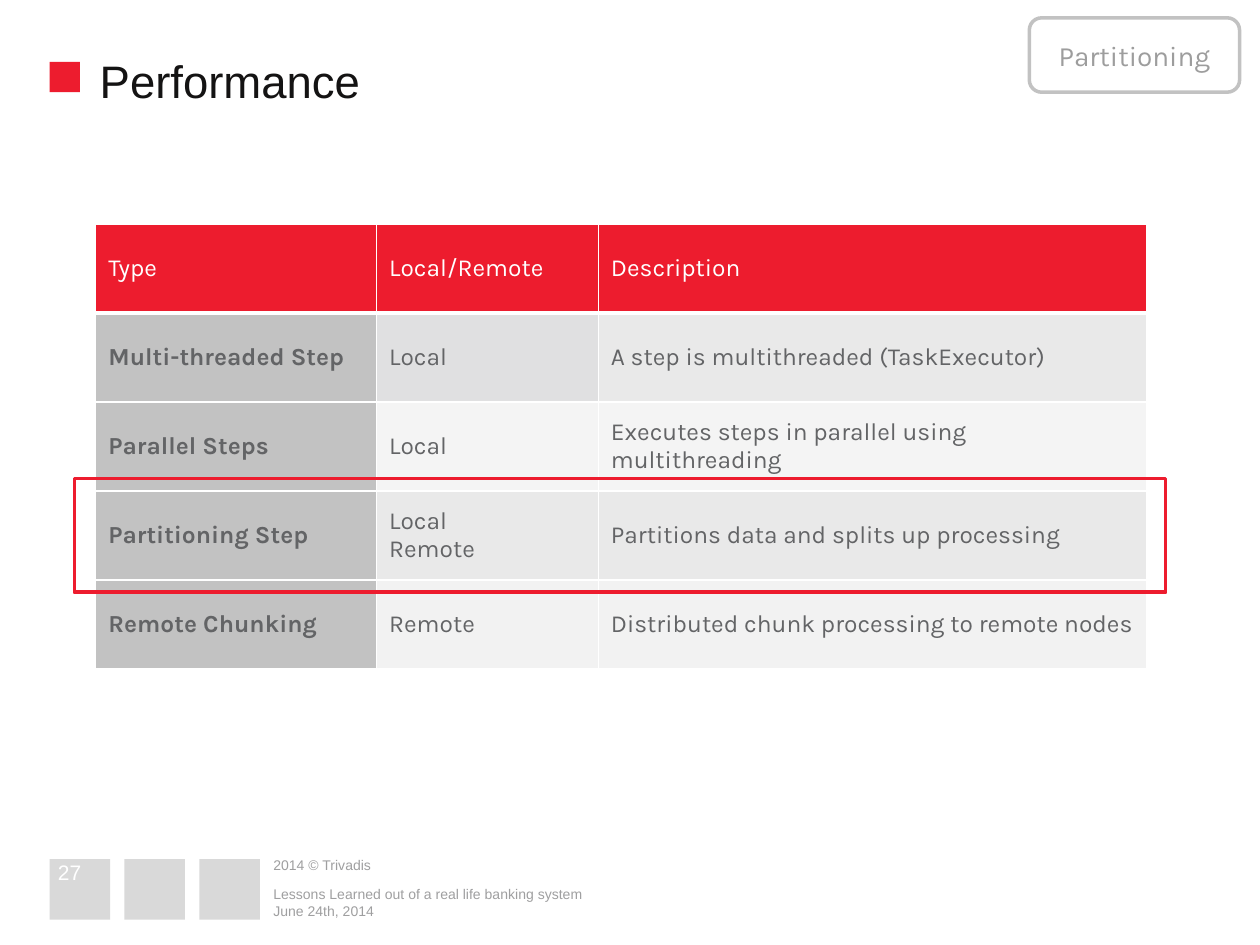
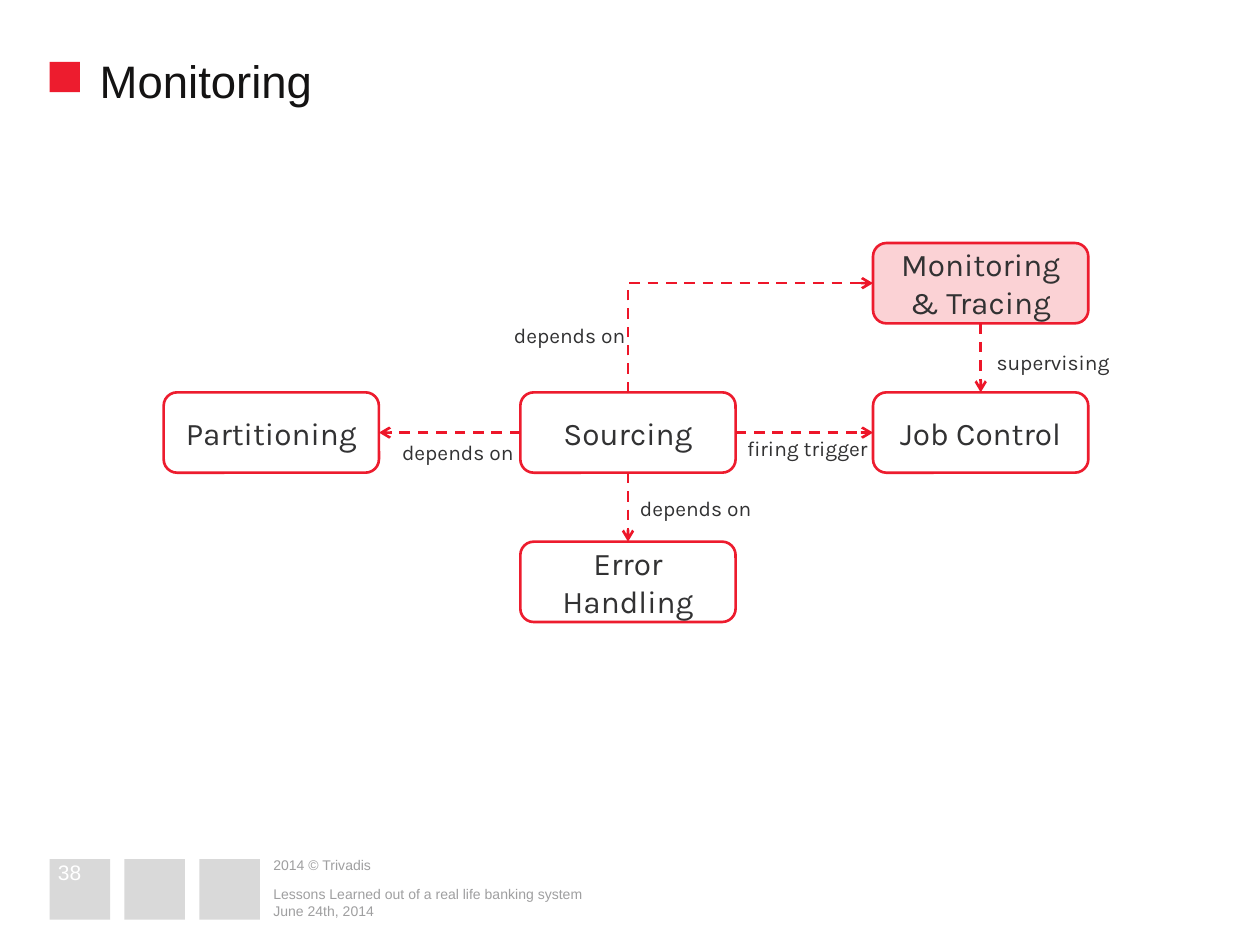
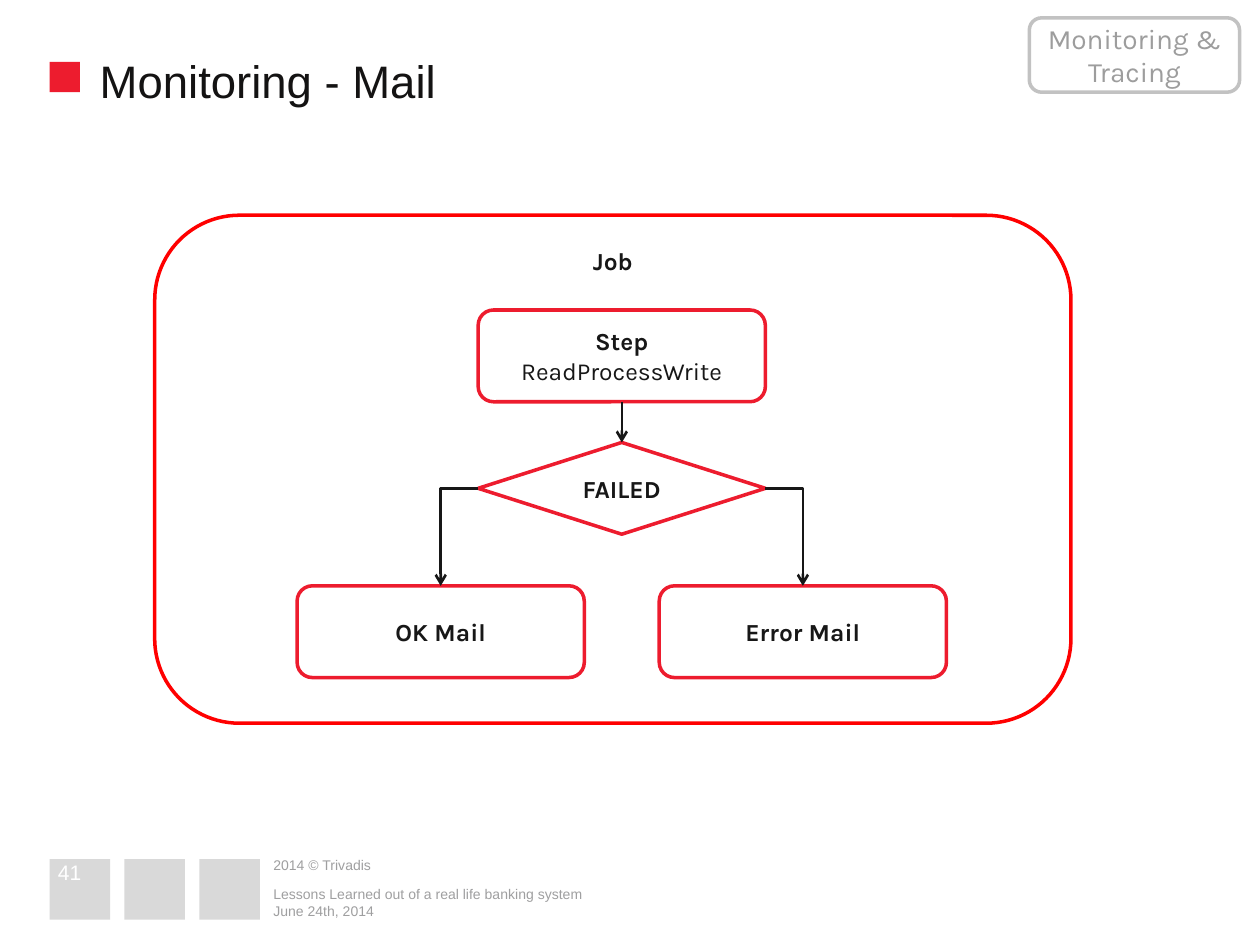
from lxml import etree
from pptx import Presentation
from pptx.dml.color import RGBColor
from pptx.enum.dml import MSO_LINE
from pptx.enum.shapes import MSO_CONNECTOR, MSO_SHAPE
from pptx.enum.text import MSO_ANCHOR, MSO_AUTO_SIZE, PP_ALIGN
from pptx.oxml.ns import qn
from pptx.util import Cm, Pt

RECT = MSO_SHAPE.RECTANGLE
ROUNDED = MSO_SHAPE.ROUNDED_RECTANGLE
DECISION = MSO_SHAPE.FLOWCHART_DECISION
STRAIGHT, ELBOW = MSO_CONNECTOR.STRAIGHT, MSO_CONNECTOR.ELBOW
DASH = MSO_LINE.DASH
LEFT, CENTER = PP_ALIGN.LEFT, PP_ALIGN.CENTER
TOP, MIDDLE, BOTTOM = MSO_ANCHOR.TOP, MSO_ANCHOR.MIDDLE, MSO_ANCHOR.BOTTOM
NO_AUTOFIT = MSO_AUTO_SIZE.NONE
SITE_TOP, SITE_LEFT, SITE_BOTTOM, SITE_RIGHT = range(4)

WHITE = RGBColor(0xFF, 0xFF, 0xFF)
RED = RGBColor(0xED, 0x1C, 0x2E)
ARROW_RED = RGBColor(0xED, 0x16, 0x29)
JOB_RED = RGBColor(0xFF, 0x00, 0x00)
PINK = RGBColor(0xFB, 0xD2, 0xD5)
TITLE_BLACK = RGBColor(0x14, 0x13, 0x13)
FLOW_BLACK = RGBColor(0x17, 0x17, 0x17)
NODE_GREY = RGBColor(0x32, 0x32, 0x33)
TABLE_GREY = RGBColor(0x63, 0x64, 0x66)
TAG_GREY = RGBColor(0x9D, 0x9D, 0x9D)
FOOTER_GREY = RGBColor(0x9F, 0x9F, 0xA0)
SQUARE_GREY = RGBColor(0xD9, 0xD9, 0xD9)
GREY = RGBColor(0xC2, 0xC2, 0xC2)
GREY_E0 = RGBColor(0xE0, 0xE0, 0xE1)
GREY_E9 = RGBColor(0xE9, 0xE9, 0xE9)
GREY_F4 = RGBColor(0xF4, 0xF4, 0xF4)
GREY_F2 = RGBColor(0xF2, 0xF2, 0xF2)

HEADING_FONT, BODY_FONT = "Arial", "Karla"

TITLE_BOX = (2.01, 0.94, 22.73, 1.02)
FOOTER_BOX = (1, 17.25, 18.12, 1.29)
TAG_BOX = (20.75, 0.36, 4.24, 1.5)
TABLE_BOX = (1.93, 4.52, 21.18, 8.96)
DIAGRAM_BOX = (3.3, 4.9, 18.64, 7.64)
JOB_BOX = (3.12, 4.34, 18.47, 10.24)

STEP_TYPES = [
    ("Type", "Local/Remote", "Description"),
    ("Multi-threaded Step", "Local", "A step is multithreaded (TaskExecutor)"),
    ("Parallel Steps", "Local", "Executes steps in parallel using multithreading"),
    ("Partitioning Step", "Local\nRemote", "Partitions data and splits up processing"),
    ("Remote Chunking", "Remote", "Distributed chunk processing to remote nodes"),
]
STEP_FILLS = [
    (RED, RED, RED),
    (GREY, GREY_E0, GREY_E9),
    (GREY, GREY_F4, GREY_F4),
    (GREY, GREY_E9, GREY_E9),
    (GREY, GREY_F2, GREY_F2),
]


def write(frame, text, *, size, color, font=BODY_FONT, bold_lines=0,
          align=LEFT, anchor=None, margin=None):
    frame.word_wrap = True
    if anchor is not None:
        frame.vertical_anchor = anchor
    if margin is not None:
        frame.margin_left = frame.margin_right = Cm(margin)
        frame.margin_top = frame.margin_bottom = Cm(margin)
    for index, line in enumerate(text.split("\n")):
        paragraph = frame.add_paragraph() if index else frame.paragraphs[0]
        paragraph.alignment = align
        run = paragraph.add_run()
        run.text = line
        run.font.name = font
        run.font.size = Pt(size)
        run.font.bold = index < bold_lines
        run.font.color.rgb = color


def within(box, left, top, width, height):
    return box[0] + left, box[1] + top, width, height


def lengths(box):
    return [Cm(value) for value in box]


def add_panel(slide, box, kind=RECT, fill=None, line=None, width=2):
    panel = slide.shapes.add_shape(kind, *lengths(box))
    panel.shadow.inherit = False
    if fill is None:
        panel.fill.background()
    else:
        panel.fill.solid()
        panel.fill.fore_color.rgb = fill
    if line is None:
        panel.line.fill.background()
    else:
        panel.line.color.rgb = line
        panel.line.width = Pt(width)
    return panel


def add_label(slide, box, text, **style):
    label = slide.shapes.add_textbox(*lengths(box))
    write(label.text_frame, text, margin=0, **style)


def turn_vertical_first(arrow):
    center_x = (arrow.begin_x + arrow.end_x) // 2
    center_y = (arrow.begin_y + arrow.end_y) // 2
    half_x = (arrow.end_x - arrow.begin_x) // 2
    half_y = (arrow.end_y - arrow.begin_y) // 2
    arrow.begin_x, arrow.begin_y = center_x - half_y, center_y + half_x
    arrow.end_x, arrow.end_y = center_x + half_y, center_y - half_x
    arrow._element.spPr.find(qn("a:xfrm")).set("rot", "5400000")


def add_arrow(slide, source, source_site, target, target_site, color,
              dash=None, kind=STRAIGHT):
    arrow = slide.shapes.add_connector(kind, 0, 0, 0, 0)
    arrow.begin_connect(source, source_site)
    arrow.end_connect(target, target_site)
    arrow.line.color.rgb = color
    arrow.line.width = Pt(1.5)
    if dash is not None:
        arrow.line.dash_style = dash
    properties = arrow._element.spPr
    if kind == ELBOW:
        properties.find(qn("a:prstGeom")).set("prst", "bentConnector2")
        if source_site in (SITE_TOP, SITE_BOTTOM):
            turn_vertical_first(arrow)
    etree.SubElement(properties.find(qn("a:ln")), qn("a:tailEnd"), type="arrow")
    etree.SubElement(properties, qn("a:effectLst"))


def add_title(slide, box, text):
    add_panel(slide, within(box, -1.01, 0.31, 0.61, 0.61), fill=RED)
    title = slide.shapes.title
    title.left, title.top, title.width, title.height = lengths(box)
    frame = title.text_frame
    frame.auto_size = NO_AUTOFIT
    write(frame, text, size=26, color=TITLE_BLACK, font=HEADING_FONT,
          anchor=TOP, margin=0)
    frame.margin_top = Cm(0.12)


def add_footer(slide, box, number):
    for index in range(3):
        add_panel(slide, within(box, index * 1.51, 0.07, 1.22, 1.22), fill=SQUARE_GREY)
    lines = [
        ("2014 © Trivadis", 0, 0.38, MIDDLE),
        ("Lessons Learned out of a real life banking system", 0.48, 0.46, BOTTOM),
        ("June 24th, 2014", 0.83, 0.46, BOTTOM),
    ]
    for text, top, height, anchor in lines:
        add_label(slide, within(box, 4.51, top, 13.61, height), text, size=8,
                  color=FOOTER_GREY, font=HEADING_FONT, anchor=anchor)
    add_label(slide, within(box, 0.17, 0.12, 1.22, 0.43), str(number), size=12,
              color=WHITE, font=HEADING_FONT, anchor=MIDDLE)


def add_tag(slide, box, text):
    tag = add_panel(slide, box, ROUNDED, WHITE, GREY)
    write(tag.text_frame, text, size=16, color=TAG_GREY, align=CENTER, anchor=MIDDLE)


def add_slide(deck, title, number, tag=None):
    slide = deck.slides.add_slide(deck.slide_layouts[5])
    add_footer(slide, FOOTER_BOX, number)
    add_title(slide, TITLE_BOX, title)
    if tag:
        add_tag(slide, TAG_BOX, tag)
    return slide


def set_borders(cell, **widths):
    properties = cell._tc.get_or_add_tcPr()
    for side in "LRTB":
        border = etree.SubElement(properties, qn(f"a:ln{side}"),
                                  w=str(Pt(widths.get(side, 1))))
        fill = etree.SubElement(border, qn("a:solidFill"))
        etree.SubElement(fill, qn("a:srgbClr"), val=str(WHITE))


def add_step_table(slide, box):
    table = slide.shapes.add_table(len(STEP_TYPES), 3, *lengths(box)).table
    for column, width in zip(table.columns, (5.66, 4.47, 11.05)):
        column.width = Cm(width)
    for row_index, (texts, fills) in enumerate(zip(STEP_TYPES, STEP_FILLS)):
        header = row_index == 0
        edge = {0: {"B": 3}, 1: {"T": 3}}.get(row_index, {})
        for column_index, (text, fill) in enumerate(zip(texts, fills)):
            cell = table.cell(row_index, column_index)
            set_borders(cell, **edge)
            cell.fill.solid()
            cell.fill.fore_color.rgb = fill
            cell.vertical_anchor = MIDDLE
            write(cell.text_frame, text, size=14,
                  color=WHITE if header else TABLE_GREY,
                  bold_lines=int(column_index == 0 and not header))
    add_panel(slide, within(box, -0.43, 5.13, 22, 2.29), line=RED)


def add_dependency_diagram(slide, box):
    columns = (0, 7.19, 14.3)
    row_pitch = 3.01

    def node(text, column, row, fill=WHITE):
        place = within(box, columns[column], row * row_pitch, 4.34, 1.62)
        part = add_panel(slide, place, ROUNDED, fill, RED, 1.5)
        write(part.text_frame, text, size=18, color=NODE_GREY, align=CENTER,
              anchor=MIDDLE)
        return part

    errors = node("Error Handling", 1, 2, None)
    monitoring = node("Monitoring & Tracing", 2, 0, PINK)
    job_control = node("Job Control", 2, 1)
    sourcing = node("Sourcing", 1, 1)
    partitioning = node("Partitioning", 0, 1)

    links = [
        (sourcing, SITE_LEFT, partitioning, SITE_RIGHT, STRAIGHT),
        (sourcing, SITE_TOP, monitoring, SITE_LEFT, ELBOW),
        (sourcing, SITE_BOTTOM, errors, SITE_TOP, STRAIGHT),
        (sourcing, SITE_RIGHT, job_control, SITE_LEFT, STRAIGHT),
        (monitoring, SITE_BOTTOM, job_control, SITE_TOP, STRAIGHT),
    ]
    for *ends, kind in links:
        add_arrow(slide, *ends, ARROW_RED, DASH, kind)

    captions = [
        ("depends on", 9.6, 5.08, 2.69, LEFT),
        ("depends on", 3.81, 3.96, 4.24, CENTER),
        ("depends on", 7.06, 1.6, 2.69, LEFT),
        ("firing trigger", 11.76, 3.89, 2.69, LEFT),
        ("supervising", 16.79, 2.14, 2.69, LEFT),
    ]
    for text, left, top, width, align in captions:
        add_label(slide, within(box, left, top, width, 0.51), text, size=12,
                  color=NODE_GREY, align=align)


def add_job_flow(slide, box):
    def stage(text, place, kind=ROUNDED, line=RED, anchor=MIDDLE):
        part = add_panel(slide, place, kind, line=line)
        write(part.text_frame, text, size=14, color=FLOW_BLACK, bold_lines=1,
              align=CENTER, anchor=anchor)
        return part

    def step(text, left, top, kind=ROUNDED):
        return stage(text, within(box, left, top, 5.79, 1.85), kind)

    center, spread = 6.52, 3.65
    stage("Job", box, line=JOB_RED, anchor=TOP)
    work = step("Step\nReadProcessWrite", center, 1.91)
    failed = step("FAILED", center, 4.58, DECISION)
    error_mail = step("Error Mail", center + spread, 7.47)
    ok_mail = step("OK Mail", center - spread, 7.47)
    add_arrow(slide, work, SITE_BOTTOM, failed, SITE_TOP, FLOW_BLACK)
    for site, mail in ((SITE_LEFT, ok_mail), (SITE_RIGHT, error_mail)):
        add_arrow(slide, failed, site, mail, SITE_TOP, FLOW_BLACK, kind=ELBOW)


def main():
    deck = Presentation()
    deck.slide_width, deck.slide_height = Cm(25.4), Cm(19.05)
    add_step_table(add_slide(deck, "Performance", 27, "Partitioning"), TABLE_BOX)
    add_dependency_diagram(add_slide(deck, "Monitoring", 38), DIAGRAM_BOX)
    add_job_flow(add_slide(deck, "Monitoring - Mail", 41, "Monitoring & Tracing"), JOB_BOX)
    deck.save("out.pptx")


if __name__ == "__main__":
    main()
